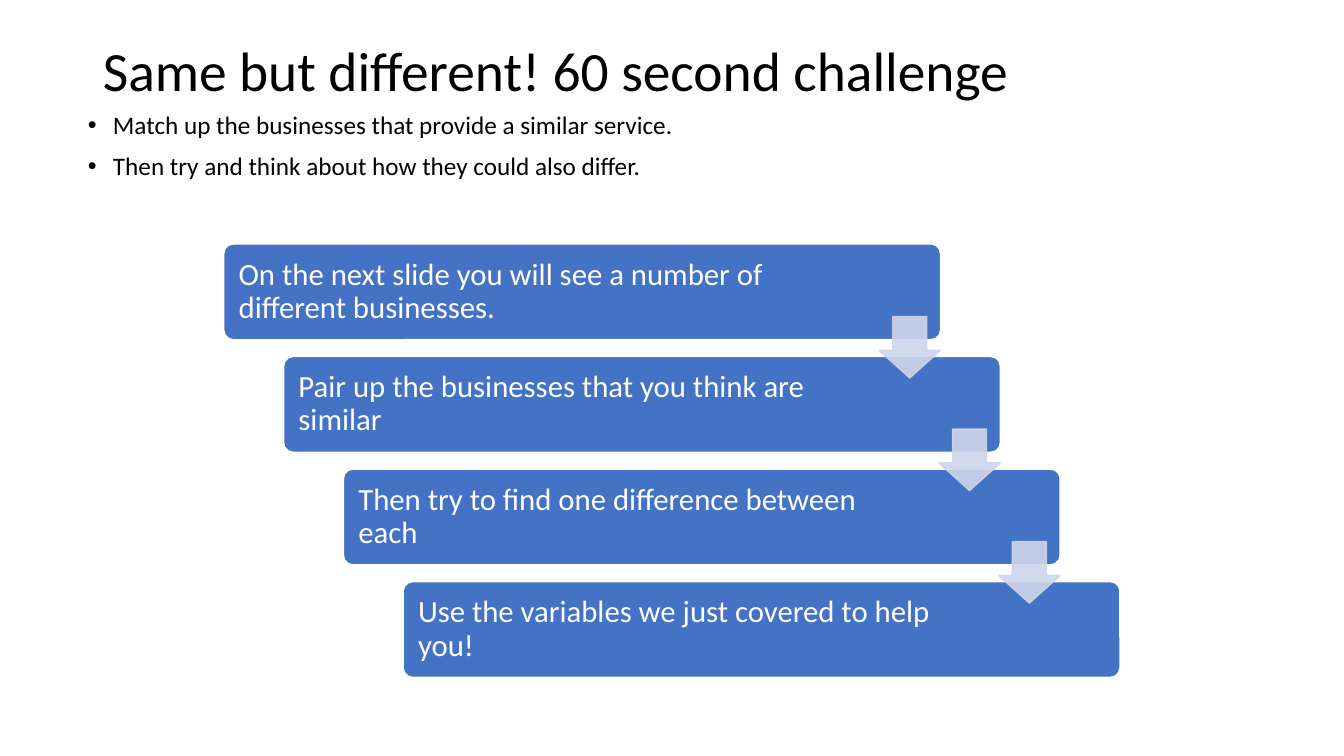
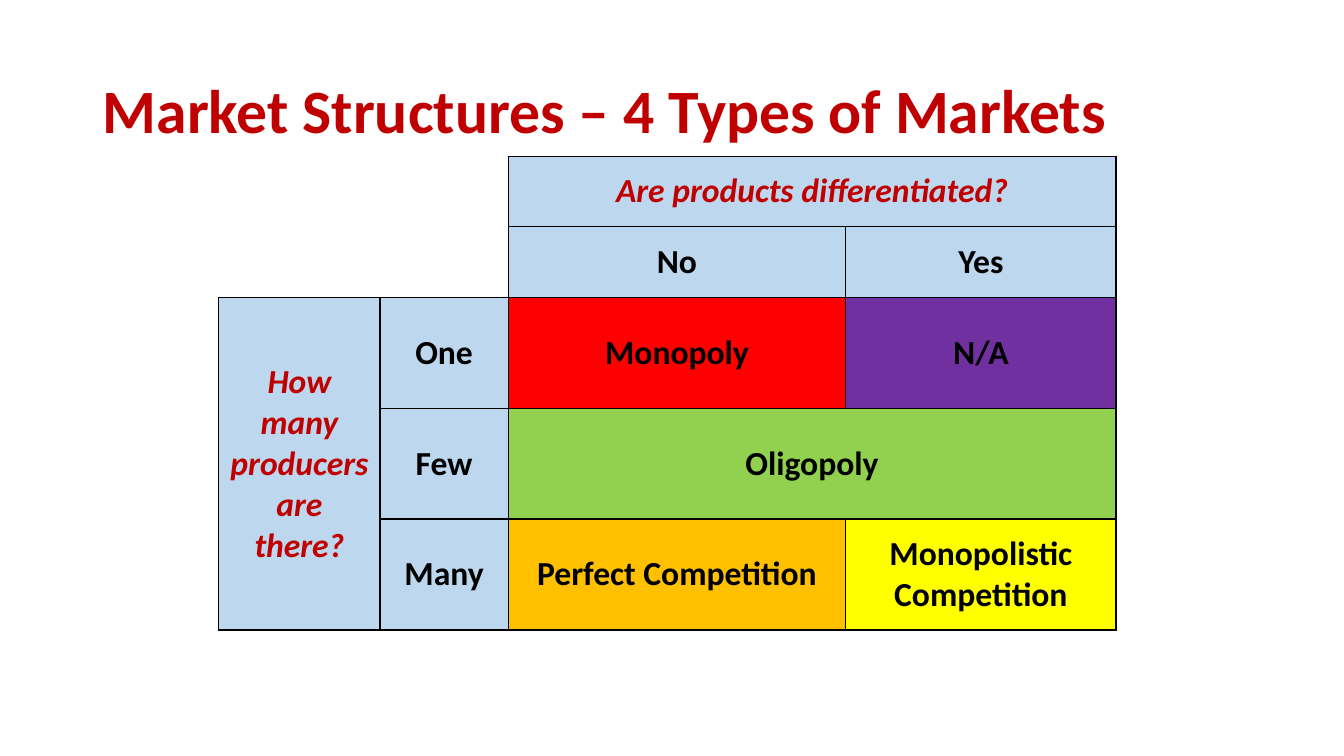
from pptx import Presentation
from pptx.dml.color import RGBColor
from pptx.enum.shapes import MSO_SHAPE as Shape
from pptx.enum.text import MSO_ANCHOR as Anchor, MSO_AUTO_SIZE as AutoSize, PP_ALIGN as Align
from pptx.oxml.ns import qn
from pptx.util import Inches, Pt
from lxml.etree import SubElement

FONT = "Calibri"
COLORS = {
    "black": "000000", "white": "FFFFFF", "crimson": "C00000",
    "blue": "4472C4", "mist": "CFD5EA", "sky": "BDD7EE",
    "red": "FF0000", "purple": "7030A0", "green": "92D050",
    "orange": "FFC000", "yellow": "FFFF00",
}

deck = Presentation()
deck.slide_width, deck.slide_height = Inches(13.33), Inches(7.5)
# The slide is a grid of 100 columns by 100 rows
COL, ROW = deck.slide_width / 100, deck.slide_height / 100


def place(box, left, top, width, height):
    box.left, box.width = int(left * COL), int(width * COL)
    box.top, box.height = int(top * ROW), int(height * ROW)


def write(frame, text, size, color, bold=False, italic=False, align=Align.LEFT, spacing=0.9):
    frame.text = text
    frame.word_wrap = True
    for para in frame.paragraphs:
        para.alignment, para.line_spacing = align, spacing
        para.space_before = Pt(0)
        font = para.font
        font.name, font.size, font.bold, font.italic = FONT, Pt(size), bold, italic
        font.color.rgb = RGBColor.from_string(COLORS[color])


# Pages and titles: layout, text, height in rows, size, colour, bold
pages = []
for layout, text, height, size, color, bold in [
    (1, "Same but different! 60 second challenge", 8.93, 39.6, "black", False),
    (5, "Market Structures – 4 Types of Markets", 19.33, 44, "crimson", True),
]:
    page = deck.slides.add_slide(deck.slide_layouts[layout])
    title = page.shapes.title
    place(title, 6.9, 5.33, 86.25, height)
    write(title.text_frame, text, size, color, bold)
    title.text_frame.auto_size = AutoSize.NONE
    title.text_frame.vertical_anchor = Anchor.MIDDLE
    pages.append(page)
challenge, markets = pages

# Challenge: instructions
body = challenge.placeholders[1]
place(body, 5.78, 14.27, 75.3, 11.87)
write(body.text_frame, "Match up the businesses that provide a similar service.\n"
      "Then try and think about how they could also differ.", 18, "black")
body.text_frame.auto_size = AutoSize.NONE
for para in body.text_frame.paragraphs:
    properties = para._p.get_or_add_pPr()
    properties.set("marL", str(Inches(0.25)))
    properties.set("indent", str(Inches(-0.25)))
body.text_frame.paragraphs[1].space_before = Pt(10)

# Challenge: staircase of steps, then the arrows that join them
STEP_RIGHT, STEP_DOWN = 4.45, 14.89
steps = [
    "On the next slide you will see a number of different businesses.",
    "Pair up the businesses that you think are similar",
    "Then try to find one difference between each",
    "Use the variables we just covered to help you!",
]
parts = [(Shape.ROUNDED_RECTANGLE, i, text, (16.65, 32.27, 53.33, 12.67), [0.1], "blue", "white")
         for i, text in enumerate(steps)]
parts += [(Shape.DOWN_ARROW, i, "", (65.4, 41.87, 4.58, 8.13), [0.55, 0.45], "mist", "mist")
          for i in range(len(steps) - 1)]
for kind, i, text, (left, top, width, height), adjustments, fill, line in parts:
    box = challenge.shapes.add_shape(kind, 0, 0, 0, 0)
    place(box, left + i * STEP_RIGHT, top + i * STEP_DOWN, width, height)
    for index, value in enumerate(adjustments):
        box.adjustments[index] = value
    box.shadow.inherit = False
    box.fill.solid()
    box.fill.fore_color.rgb = RGBColor.from_string(COLORS[fill])
    box.line.color.rgb = RGBColor.from_string(COLORS[line])
    box.line.width = Pt(1)
    if text:
        frame = box.text_frame
        write(frame, text, 22, "white")
        frame.vertical_anchor = Anchor.MIDDLE
        frame.margin_left, frame.margin_right = Inches(0.12), Inches(1.36)
    else:
        for tint in box._element.spPr.iter(qn("a:srgbClr")):
            SubElement(tint, qn("a:alpha")).set("val", "90000")

# Markets: table
widths = [12, 9.53, 25.13, 20.1]
heights = [9.33, 9.33, 14.67, 14.67, 14.67]
frame = markets.shapes.add_table(len(heights), len(widths), 0, 0, 0, 0)
place(frame, 16.28, 20.67, sum(widths), sum(heights))
table = frame.table
table.first_row = table.horz_banding = False
for column, width in zip(table.columns, widths):
    column.width = int(width * COL)
for row, height in zip(table.rows, heights):
    row.height = int(height * ROW)

# Borders: all round each cell, save the outer sides of the blank corner
for r in range(len(heights)):
    for c in range(len(widths)):
        cell = table.cell(r, c)
        corner = r < 2 and c < 2
        properties = cell._tc.get_or_add_tcPr()
        for side in ("lnL", "lnR", "lnT", "lnB"):
            drawn = not corner or side == "lnR" or (side == "lnB" and r == 1)
            border = SubElement(properties, qn("a:" + side), w=str(Pt(1)))
            if drawn:
                ink = SubElement(border, qn("a:solidFill"))
                SubElement(ink, qn("a:srgbClr"), val=COLORS["black"])
            else:
                SubElement(border, qn("a:noFill"))
        if corner:
            cell.fill.background()

for first, last in [((0, 0), (0, 1)), ((1, 0), (1, 1)), ((0, 2), (0, 3)),
                    ((2, 0), (4, 0)), ((3, 2), (3, 3))]:
    table.cell(*first).merge(table.cell(*last))

# Cells: row, column, text, fill
for r, c, text, fill in [
    (0, 2, "Are products differentiated?", "sky"),
    (1, 2, "No", "sky"), (1, 3, "Yes", "sky"),
    (2, 0, "How many producers are there?", "sky"),
    (2, 1, "One", "sky"), (2, 2, "Monopoly", "red"), (2, 3, "N/A", "purple"),
    (3, 1, "Few", "sky"), (3, 2, "Oligopoly", "green"),
    (4, 1, "Many", "sky"), (4, 2, "Perfect Competition", "orange"),
    (4, 3, "Monopolistic Competition", "yellow"),
]:
    cell = table.cell(r, c)
    question = text.endswith("?")
    write(cell.text_frame, text, 24, "crimson" if question else "black",
          bold=True, italic=question, align=Align.CENTER, spacing=1.0)
    cell.vertical_anchor = Anchor.MIDDLE
    cell.fill.solid()
    cell.fill.fore_color.rgb = RGBColor.from_string(COLORS[fill])

deck.save("out.pptx")
